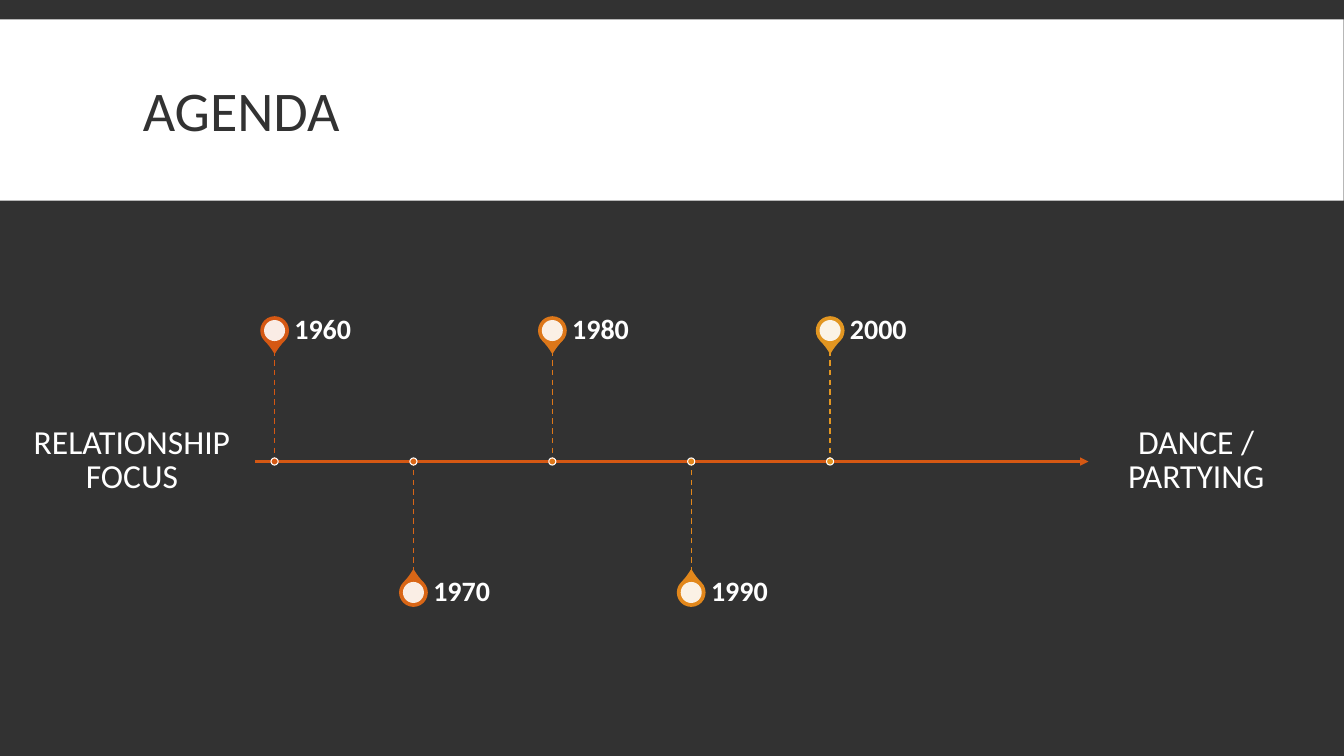
"""Build the agenda slide: a timeline of decades between two themes."""
from dataclasses import dataclass

from lxml.etree import SubElement
from pptx import Presentation
from pptx.dml.color import RGBColor
from pptx.enum.dml import MSO_LINE
from pptx.enum.shapes import MSO_CONNECTOR, MSO_SHAPE
from pptx.enum.text import MSO_ANCHOR, PP_ALIGN
from pptx.oxml.ns import qn
from pptx.shapes.autoshape import Shape
from pptx.shapes.connector import Connector
from pptx.slide import Slide
from pptx.util import Cm, Pt

COLORS = {
    "dark": "323232",
    "white": "FFFFFF",
    "1960": "D55813",
    "1970": "D96616",
    "1980": "DD7719",
    "1990": "E2871B",
    "2000": "E29621",
}
FONT = "Calibri"
AXIS_Y = 11.63
FIRST_X = 6.92
DECADE_STEP = 3.5
PIN_DISTANCE = 3.3
PIN_TIP = 0.5


@dataclass(frozen=True)
class Caption:
    """A text with its box in centimetres and its style."""

    text: str
    left: float
    top: float
    width: float
    height: float
    size: float
    color: str = "white"
    bold: bool = False
    align: PP_ALIGN = PP_ALIGN.LEFT
    spacing: float = 0.85
    margins: tuple[float, float, float, float] = (0.25, 0.13, 0.25, 0.13)


@dataclass(frozen=True)
class Decade:
    """A stop on the timeline, with its pin above or below the axis."""

    year: str
    x: float
    above: bool


CAPTIONS = [
    Caption("AGENDA", 3.35, 0.79, 27.18, 4.19, 40, "dark"),
    Caption("RELATIONSHIP FOCUS", 0, 9.53, 6.65, 4.19, 24, align=PP_ALIGN.CENTER),
    Caption("DANCE / PARTYING", 27.2, 9.53, 5.89, 4.19, 24, align=PP_ALIGN.CENTER),
]
DECADES = [
    Decade(year, FIRST_X + index * DECADE_STEP, index % 2 == 0)
    for index, year in enumerate(("1960", "1970", "1980", "1990", "2000"))
]


def rgb(name: str) -> RGBColor:
    """Look up a named colour."""
    return RGBColor.from_string(COLORS[name])


def add_caption(slide: Slide, caption: Caption) -> None:
    """Add a wrapped, vertically centred text."""
    box = slide.shapes.add_textbox(
        Cm(caption.left), Cm(caption.top), Cm(caption.width), Cm(caption.height)
    )
    frame = box.text_frame
    frame.word_wrap = True
    frame.vertical_anchor = MSO_ANCHOR.MIDDLE
    frame.margin_left, frame.margin_top, frame.margin_right, frame.margin_bottom = map(
        Cm, caption.margins
    )
    frame.text = caption.text
    paragraph = frame.paragraphs[0]
    paragraph.alignment = caption.align
    paragraph.line_spacing = caption.spacing
    font = paragraph.runs[0].font
    font.name = FONT
    font.size = Pt(caption.size)
    font.bold = caption.bold
    font.color.rgb = rgb(caption.color)


def add_line(
    slide: Slide, start: tuple[float, float], end: tuple[float, float],
    color: str, width: float,
) -> Connector:
    """Add a straight line without a shadow."""
    line = slide.shapes.add_connector(
        MSO_CONNECTOR.STRAIGHT, *map(Cm, (*start, *end))
    )
    line.line.color.rgb = rgb(color)
    line.line.width = Pt(width)
    SubElement(line._element.spPr, qn("a:effectLst"))
    return line


def add_filled(
    slide: Slide, kind: MSO_SHAPE, left: float, top: float, width: float,
    height: float, fill: str, outline: str | None = None, line_width: float = 1,
) -> Shape:
    """Add a filled shape, outlined only when a colour is given."""
    shape = slide.shapes.add_shape(kind, Cm(left), Cm(top), Cm(width), Cm(height))
    shape.shadow.inherit = False
    shape.fill.solid()
    shape.fill.fore_color.rgb = rgb(fill)
    if outline:
        shape.line.color.rgb = rgb(outline)
        shape.line.width = Pt(line_width)
    else:
        shape.line.fill.background()
    return shape


def add_centred(
    slide: Slide, kind: MSO_SHAPE, x: float, y: float, size: float,
    fill: str, outline: str | None = None, line_width: float = 1,
) -> Shape:
    """Add a square-sized shape around a centre point."""
    return add_filled(
        slide, kind, x - size / 2, y - size / 2, size, size, fill, outline, line_width
    )


def add_axis(slide: Slide) -> None:
    """Add the timeline arrow."""
    axis = add_line(slide, (6.43, AXIS_Y), (27.43, AXIS_Y), "1960", 1.5)
    SubElement(axis.line._get_or_add_ln(), qn("a:tailEnd"), type="triangle")


def add_decade(slide: Slide, decade: Decade) -> None:
    """Add the pin, year, dashed stem and axis dot of a decade."""
    side = -1 if decade.above else 1
    pin_y = AXIS_Y + side * PIN_DISTANCE
    pin = add_centred(
        slide, MSO_SHAPE.TEAR, decade.x, pin_y, 0.69, decade.year, decade.year
    )
    pin.adjustments[0] = 1.15
    pin.rotation = 135 if decade.above else 315
    eye = add_centred(slide, MSO_SHAPE.OVAL, decade.x, pin_y, 0.53, "white")
    eye_color = eye._element.spPr.find(qn("a:solidFill"))[0]
    SubElement(eye_color, qn("a:alpha"), val="89000")
    add_caption(slide, Caption(
        decade.year, decade.x + 0.5, pin_y - 0.5, 5.82, 1, 20,
        bold=True, spacing=0.9, margins=(0, 0, 0.36, 0),
    ))
    stem = add_line(
        slide, (decade.x, pin_y - side * PIN_TIP), (decade.x, AXIS_Y), decade.year, 1
    )
    stem.line.dash_style = MSO_LINE.DASH
    add_centred(
        slide, MSO_SHAPE.OVAL, decade.x, AXIS_Y, 0.18, decade.year, "white", 0.75
    )


def main() -> None:
    """Build and save the presentation."""
    presentation = Presentation()
    presentation.slide_width = Cm(33.87)
    presentation.slide_height = Cm(19.05)
    slide = presentation.slides.add_slide(presentation.slide_layouts[6])
    slide.background.fill.solid()
    slide.background.fill.fore_color.rgb = rgb("dark")
    add_filled(slide, MSO_SHAPE.RECTANGLE, 0, 0.49, 33.86, 4.57, "white")
    add_axis(slide)
    for decade in DECADES:
        add_decade(slide, decade)
    for caption in CAPTIONS:
        add_caption(slide, caption)
    presentation.save("out.pptx")


if __name__ == "__main__":
    main()
